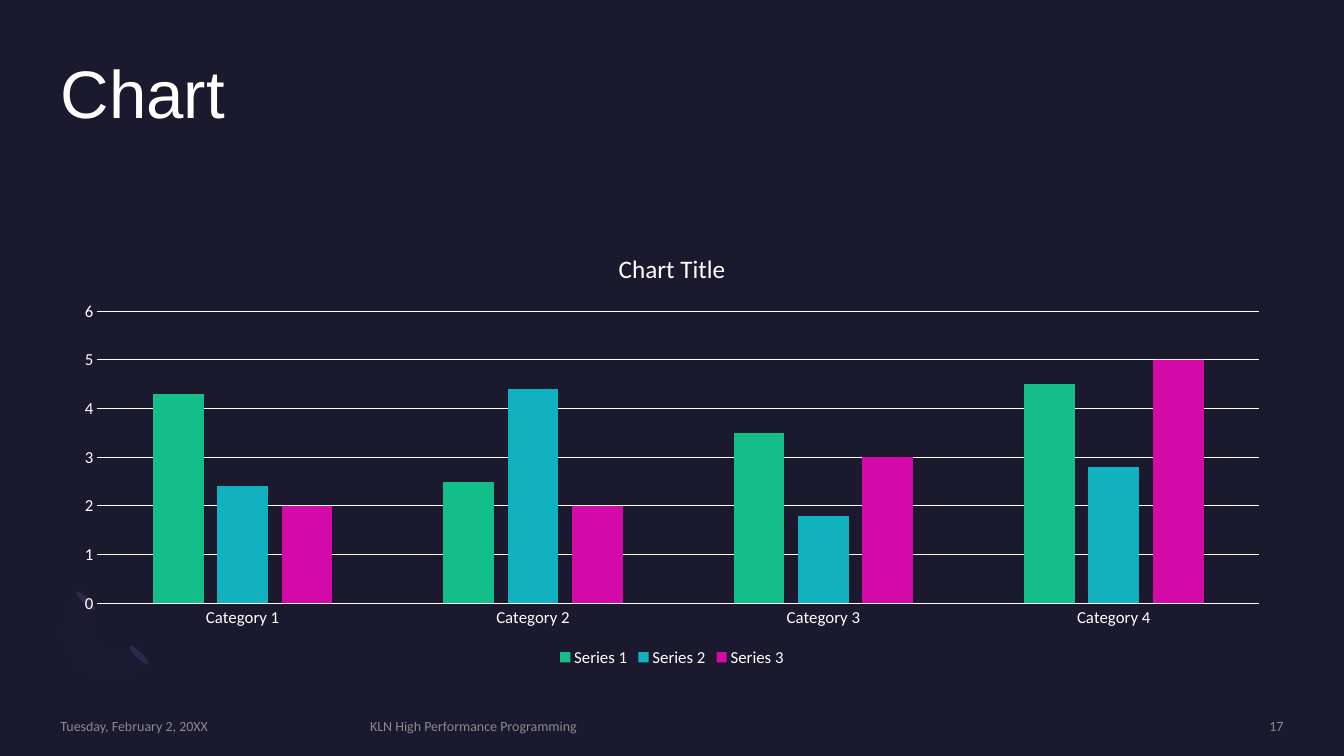
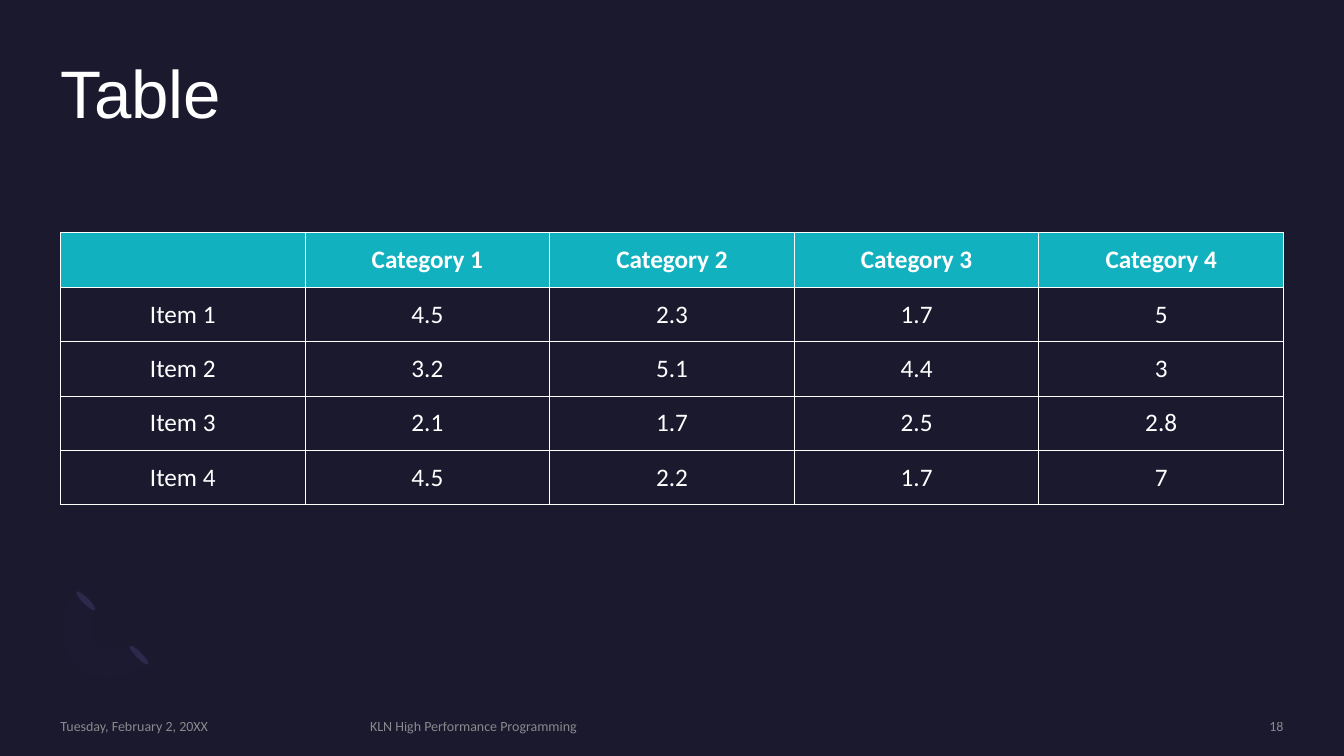
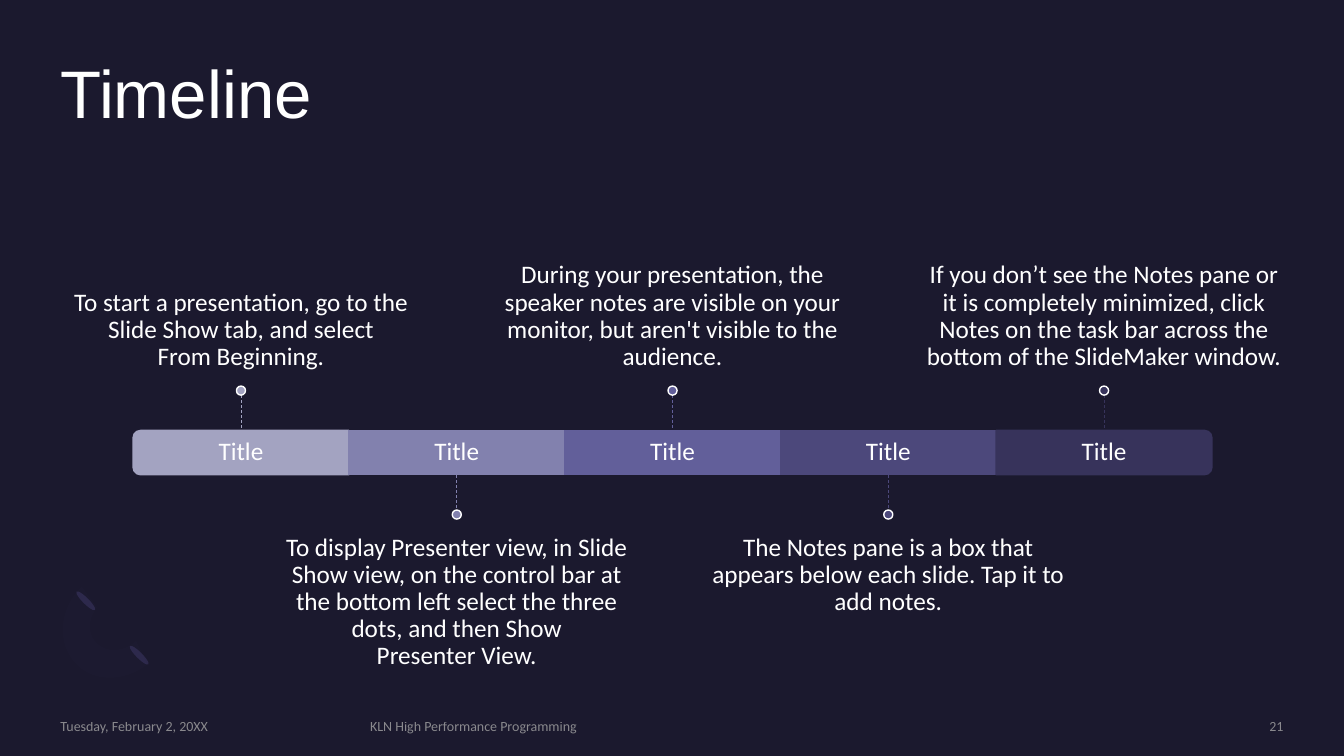
from lxml import etree
from pptx import Presentation
from pptx import util as u
from pptx.chart import data as chart_data
from pptx.dml.color import RGBColor
from pptx.enum import chart as charts, dml, shapes, text
from pptx.oxml import ns

NAVY = RGBColor(0x1B, 0x19, 0x2E)
WHITE = RGBColor(0xFF, 0xFF, 0xFF)
GREY = RGBColor(0xA6, 0xA6, 0xA6)
GREEN = RGBColor(0x13, 0xBE, 0x89)
TEAL = RGBColor(0x12, 0xB1, 0xBF)
MAGENTA = RGBColor(0xD4, 0x0A, 0xA8)
INDIGO = RGBColor(0x2C, 0x28, 0x4A)
LAVENDER = RGBColor(0x77, 0x71, 0xB2)
TIMELINE_TINTS = [RGBColor.from_string(tint) for tint in
                  ("A3A3C1", "8281AE", "625F9A", "4C487B", "37335B")]

HEADING_FONT, BODY_FONT = "Arial", "Calibri"
MARGIN, CONTENT_TOP, CONTENT_WIDTH = 0.6, 2.31, 12.13
CENTER, LEFT, RIGHT = text.PP_ALIGN.CENTER, text.PP_ALIGN.LEFT, text.PP_ALIGN.RIGHT
TOP, MIDDLE, BOTTOM = (text.MSO_ANCHOR.TOP, text.MSO_ANCHOR.MIDDLE,
                       text.MSO_ANCHOR.BOTTOM)
OVAL = shapes.MSO_SHAPE.OVAL
FOOTER_PARTS = [
    (MARGIN, 2.88, "Tuesday, February 2, 20XX", LEFT),
    (3.67, 6.98, "KLN High Performance Programming", LEFT),
    (10.88, 1.85, None, RIGHT),
]


def box(left, top, width, height):
    return [u.Inches(length) for length in (left, top, width, height)]


def style_font(font, size, color=WHITE, name=BODY_FONT, bold=False):
    font.size, font.name, font.bold = u.Pt(size), name, bold
    font.color.rgb = color


def write(frame, words, size, align=LEFT, anchor=MIDDLE, insets=(0, 0, 0, 0),
          spacing=None, **font_style):
    frame.text = words
    frame.word_wrap = True
    frame.auto_size = text.MSO_AUTO_SIZE.NONE
    frame.vertical_anchor = anchor
    (frame.margin_left, frame.margin_top,
     frame.margin_right, frame.margin_bottom) = map(u.Inches, insets)
    for paragraph in frame.paragraphs:
        paragraph.alignment = align
        paragraph.line_spacing = spacing
        for run in paragraph.runs:
            style_font(run.font, size, **font_style)


def add_label(slide, place, words, size, **style):
    label = slide.shapes.add_textbox(*box(*place))
    write(label.text_frame, words, size, **style)
    return label


def paint(shape, fill, outline=None):
    shape.shadow.inherit = False
    shape.fill.solid()
    shape.fill.fore_color.rgb = fill
    if outline is None:
        shape.line.fill.background()
    else:
        shape.line.color.rgb = outline
        shape.line.width = u.Pt(1)


def add_solid(slide, preset, place, fill, outline=None, rotation=0):
    solid = slide.shapes.add_shape(preset, *box(*place))
    paint(solid, fill, outline)
    solid.rotation = rotation
    return solid


def set_opacity(shape, percent):
    for color in shape.element.iter(ns.qn("a:srgbClr")):
        etree.SubElement(color, ns.qn("a:alpha"), val=str(percent * 1000))


def bezier(start, control_1, control_2, end, steps=12):
    for step in range(1, steps + 1):
        t = step / steps
        weights = ((1 - t) ** 3, 3 * t * (1 - t) ** 2, 3 * t * t * (1 - t), t ** 3)
        yield tuple(sum(w * p[axis] for w, p in
                        zip(weights, (start, control_1, control_2, end)))
                    for axis in (0, 1))


def add_ring_ornament(slide):
    for left, top in ((1.35, 6.37), (0.82, 5.83)):
        add_solid(slide, OVAL, (left, top, 0.06, 0.26), INDIGO, rotation=135)
    outline = [
        *bezier((0.76, 6.59), (0.56, 6.39), (0.58, 6.05), (0.81, 5.82)),
        *bezier((0.99, 6), (0.87, 6.11), (0.86, 6.29), (0.96, 6.38)),
        *bezier((0.96, 6.38), (1.06, 6.48), (1.23, 6.47), (1.35, 6.36)),
        *bezier((1.52, 6.54), (1.3, 6.76), (0.95, 6.79), (0.76, 6.59)),
    ]
    points = [(u.Inches(x), u.Inches(y)) for x, y in outline]
    builder = slide.shapes.build_freeform(*points[0])
    builder.add_line_segments(points[1:], close=True)
    arc = builder.convert_to_shape()
    paint(arc, LAVENDER)
    set_opacity(arc, 2)


def add_base(deck, heading, number):
    slide = deck.slides.add_slide(deck.slide_layouts.get_by_name("Title Only"))
    add_ring_ornament(slide)
    title = slide.shapes.title
    title.left, title.top, title.width, title.height = box(
        MARGIN, 0.6, CONTENT_WIDTH, 1.46)
    write(title.text_frame, heading, 48, anchor=TOP, spacing=0.9, name=HEADING_FONT)
    for left, width, words, align in FOOTER_PARTS:
        footer = add_label(slide, (left, 7.12, width, 0.17), words or str(number),
                           10, align=align, color=GREY)
        set_opacity(footer, 80)
    return slide


def add_column_chart(slide, heading, categories, series):
    data = chart_data.CategoryChartData()
    data.categories = categories
    for name, values, _ in series:
        data.add_series(name, values)
    chart = slide.shapes.add_chart(
        charts.XL_CHART_TYPE.COLUMN_CLUSTERED,
        *box(MARGIN, CONTENT_TOP, CONTENT_WIDTH, 4.35), data).chart
    style_font(chart.font, 12)
    chart.has_title = True
    chart.chart_title.text_frame.text = heading
    style_font(chart.chart_title.text_frame.paragraphs[0].runs[0].font, 18)
    chart.chart_title.include_in_layout = False
    chart.has_legend = True
    chart.legend.position = charts.XL_LEGEND_POSITION.BOTTOM
    chart.legend.include_in_layout = False
    style_font(chart.legend.font, 12)

    for axis in (chart.category_axis, chart.value_axis):
        axis.major_tick_mark = axis.minor_tick_mark = charts.XL_TICK_MARK.NONE
        style_font(axis.tick_labels.font, 12)
    chart.value_axis.format.line.fill.background()
    for line in (chart.category_axis.format.line,
                 chart.value_axis.major_gridlines.format.line):
        line.color.rgb = WHITE
        line.width = u.Pt(0.75)

    plot = chart.plots[0]
    plot.gap_width, plot.overlap, plot.vary_by_categories = 219, -27, False
    for columns, (_, _, color) in zip(plot.series, series):
        columns.format.fill.solid()
        columns.format.fill.fore_color.rgb = color
        columns.invert_if_negative = False


def add_cell_borders(cell):
    properties = cell._tc.get_or_add_tcPr()
    for position, side in enumerate(("lnL", "lnR", "lnT", "lnB")):
        border = etree.Element(ns.qn("a:" + side), w=str(u.Pt(0.75)))
        fill = etree.SubElement(border, ns.qn("a:solidFill"))
        etree.SubElement(fill, ns.qn("a:srgbClr"), val=str(WHITE))
        properties.insert(position, border)


def add_grid(slide, rows):
    row_height = 0.54
    table = slide.shapes.add_table(
        len(rows), len(rows[0]),
        *box(MARGIN, CONTENT_TOP, CONTENT_WIDTH, row_height * len(rows))).table
    table.first_row = table.horz_banding = False
    for row_index, row in enumerate(rows):
        is_header = row_index == 0
        for column_index, words in enumerate(row):
            cell = table.cell(row_index, column_index)
            cell.text = words
            cell.vertical_anchor = MIDDLE
            paragraph = cell.text_frame.paragraphs[0]
            paragraph.alignment = CENTER
            for run in paragraph.runs:
                style_font(run.font, 18, bold=is_header)
            if is_header:
                cell.fill.solid()
                cell.fill.fore_color.rgb = TEAL
            else:
                cell.fill.background()
            add_cell_borders(cell)


def add_dashed_stem(slide, x, top, bottom, color):
    stem = slide.shapes.add_connector(
        shapes.MSO_CONNECTOR.STRAIGHT, *box(x, top, x, bottom))
    stem.line.color.rgb = color
    stem.line.width = u.Pt(0.5)
    stem.line.dash_style = dml.MSO_LINE.DASH
    etree.SubElement(stem.element.spPr, ns.qn("a:effectLst"))


def add_timeline(slide, milestones):
    bar_left, bar_top, step, bar_height = 1.32, 4.27, 2.14, 0.44
    bar_bottom = bar_top + bar_height
    bar_middle = bar_top + bar_height / 2
    note_width, note_height, stem_length, dot = 3.57, 1.52, 0.35, 0.09
    end_rotations = {0: 270, len(milestones) - 1: 90}

    for index, ((heading, note), tint) in enumerate(zip(milestones, TIMELINE_TINTS)):
        left = bar_left + index * step
        center = left + step / 2
        segment = (left, bar_top, step, bar_height)
        if index in end_rotations:
            upright = (center - bar_height / 2, bar_middle - step / 2, bar_height, step)
            add_solid(slide, shapes.MSO_SHAPE.ROUND_2_SAME_RECTANGLE, upright,
                      tint, tint, end_rotations[index])
        else:
            add_solid(slide, shapes.MSO_SHAPE.RECTANGLE, segment, tint, tint)
        add_label(slide, segment, heading, 18, align=CENTER, spacing=0.9,
                  insets=(0.15, 0.15, 0.15, 0.15))

        if index % 2 == 0:
            stem_top = bar_top - stem_length
            dot_top = stem_top - dot
            note_top, anchor, insets = CONTENT_TOP, BOTTOM, (0, 0, 0, 0.15)
        else:
            stem_top = bar_bottom
            dot_top = stem_top + stem_length
            note_top, anchor, insets = dot_top + dot, TOP, (0, 0.15, 0, 0)
        add_label(slide, (center - note_width / 2, note_top, note_width, note_height),
                  note, 18, align=CENTER, anchor=anchor, insets=insets, spacing=0.9)
        add_dashed_stem(slide, center, stem_top, stem_top + stem_length, tint)
        add_solid(slide, OVAL, (center - dot / 2, dot_top, dot, dot), tint, WHITE)


def main():
    deck = Presentation()
    deck.slide_width, deck.slide_height = u.Inches(13.33), u.Inches(7.5)
    backdrop = deck.slide_master.background.fill
    backdrop.solid()
    backdrop.fore_color.rgb = NAVY
    categories = [f"Category {number}" for number in range(1, 5)]

    add_column_chart(add_base(deck, "Chart", 17), "Chart Title", categories, [
        ("Series 1", (4.3, 2.5, 3.5, 4.5), GREEN),
        ("Series 2", (2.4, 4.4, 1.8, 2.8), TEAL),
        ("Series 3", (2, 2, 3, 5), MAGENTA),
    ])

    add_grid(add_base(deck, "Table", 18), [
        ["", *categories],
        ["Item 1", "4.5", "2.3", "1.7", "5"],
        ["Item 2", "3.2", "5.1", "4.4", "3"],
        ["Item 3", "2.1", "1.7", "2.5", "2.8"],
        ["Item 4", "4.5", "2.2", "1.7", "7"],
    ])

    add_timeline(add_base(deck, "Timeline", 21), [
        ("Title", "To start a presentation, go to the Slide Show tab, and select\v"
                  "From Beginning."),
        ("Title", "To display Presenter view, in Slide Show view, on the control bar "
                  "at the bottom left select the three dots, and then Show\v"
                  "Presenter View."),
        ("Title", "During your presentation, the speaker notes are visible on your "
                  "monitor, but aren't visible to the audience."),
        ("Title", "The Notes pane is a box that appears below each slide. "
                  "Tap it to add notes."),
        ("Title", "If you don’t see the Notes pane or it is completely minimized, "
                  "click Notes on the task bar across the bottom of the "
                  "SlideMaker window."),
    ])
    deck.save("out.pptx")


if __name__ == "__main__":
    main()
